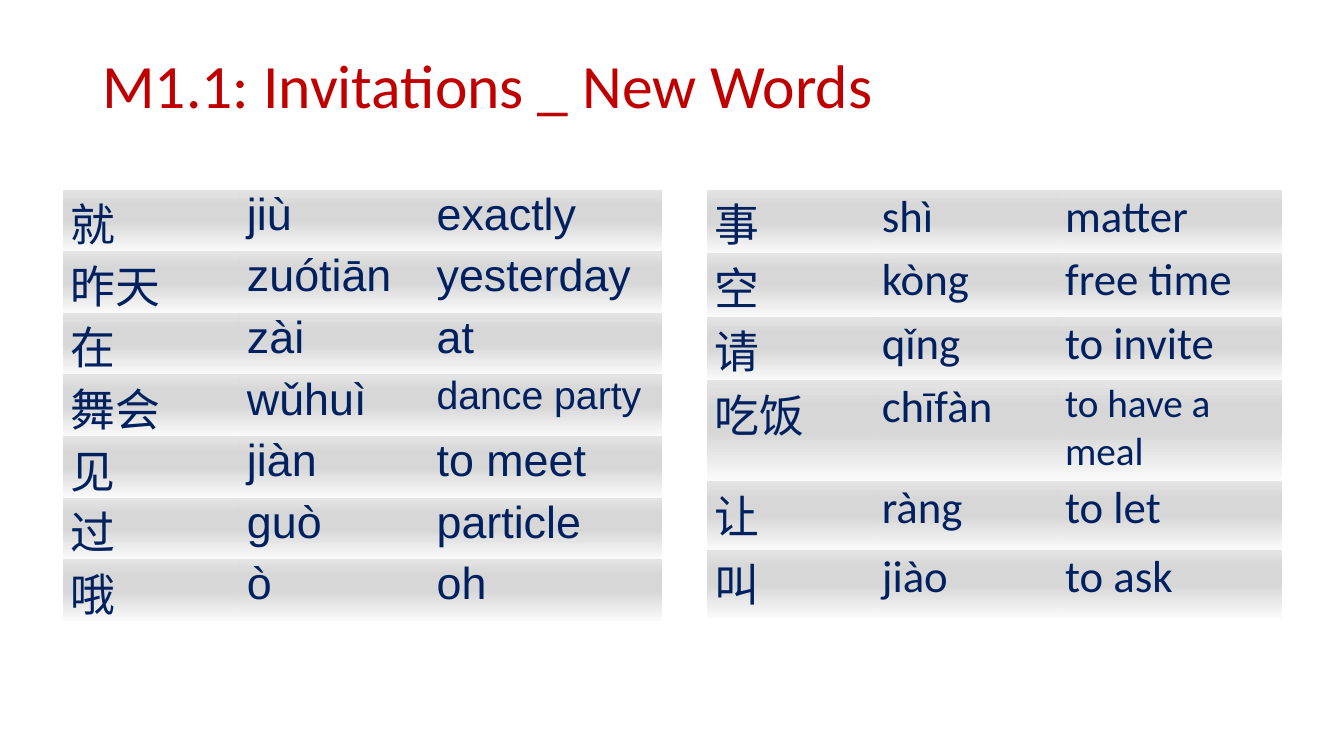
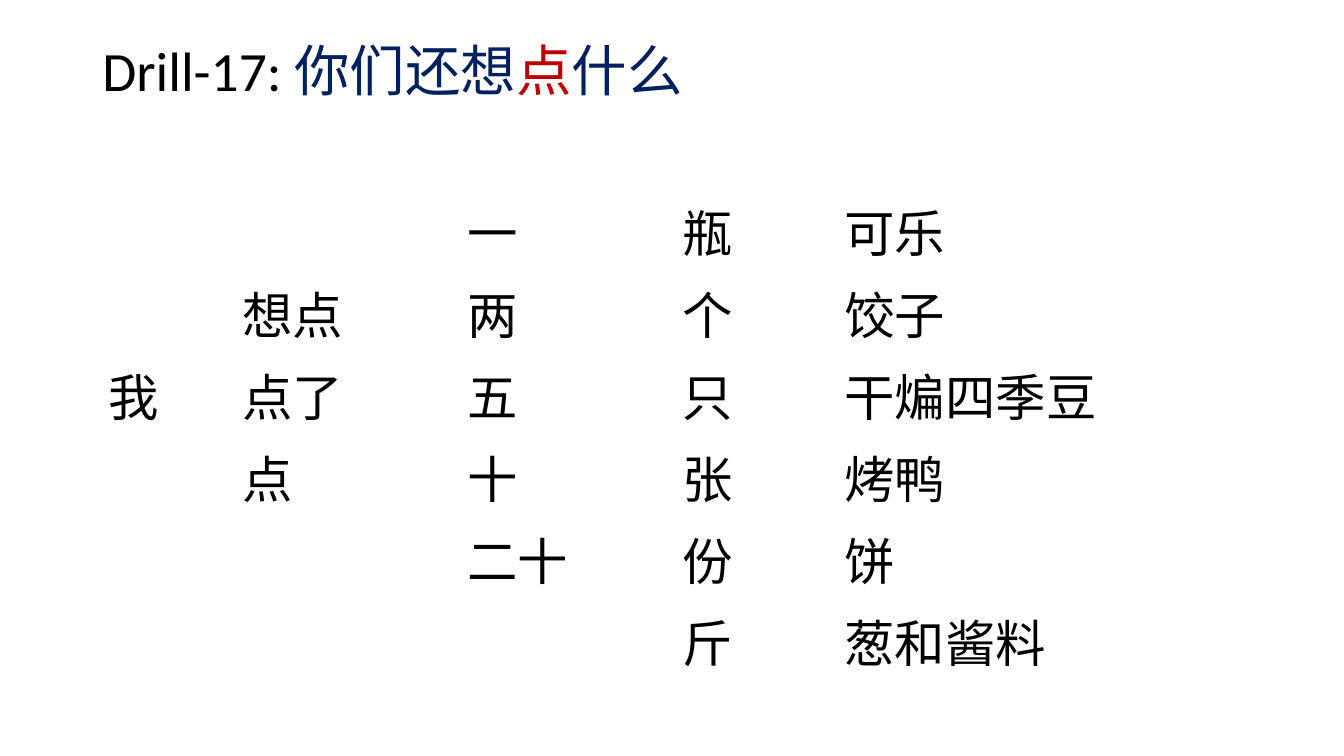
from pptx import Presentation
from pptx.dml.color import RGBColor
from pptx.enum import text
from pptx.oxml import parse_xml
from pptx.oxml.ns import qn, nsdecls
from pptx.util import Pt

RED = RGBColor(0xC0, 0x00, 0x00)
NAVY = RGBColor(0x00, 0x20, 0x60)
BLACK = RGBColor(0x00, 0x00, 0x00)
SHADES = [(0, "FAFAFA"), (49, "D7D7D7"), (74, "D7D7D7"), (100, "E4E4E4")]
PLAIN = "{2D5ABB26-0587-4C30-8999-92F81FD0307C}"  # no style, no grid

WORDS_A = [
    ("就", "jiù", "exactly"),
    ("昨天", "zuótiān", "yesterday"),
    ("在", "zài", "at"),
    ("舞会", "wǔhuì", "dance party"),
    ("见", "jiàn", "to meet"),
    ("过", "guò", "particle"),
    ("哦", "ò", "oh"),
]
WORDS_B = [
    ("事", "shì", "matter"),
    ("空", "kòng", "free time"),
    ("请", "qǐng", "to invite"),
    ("吃饭", "chīfàn", "to have a meal"),
    ("让", "ràng", "to let"),
    ("叫", "jiào", "to ask"),
]
SMALL = {"dance party", "to have a meal"}
DRILL = [
    ("", "", "", "", ""),
    ("", "", "一", "瓶", "可乐"),
    ("", "想点", "两", "个", "饺子"),
    ("我", "点了", "五", "只", "干煸四季豆"),
    ("", "点", "十", "张", "烤鸭"),
    ("", "", "二十", "份", "饼"),
    ("", "", "", "斤", "葱和酱料"),
]


def style(font, size, color, name="Calibri"):
    font.size, font.name = Pt(size), name
    font.color.rgb = color


def add_title(slide, parts, size, height):
    box = slide.shapes.add_textbox(Pt(66), Pt(28.8), Pt(828), Pt(height))
    frame = box.text_frame
    frame.word_wrap = True
    frame.vertical_anchor = text.MSO_ANCHOR.MIDDLE
    para = frame.paragraphs[0]
    para.line_spacing = 0.9
    for words, color in parts:
        run = para.add_run()
        run.text = words
        style(run.font, size, color)


def shade(cell):
    """Fill a cell with the grey gradient, running from bottom to top."""
    stops = "".join(
        f'<a:gs pos="{pos * 1000}"><a:srgbClr val="{rgb}"/></a:gs>'
        for pos, rgb in SHADES)
    cell._tc.get_or_add_tcPr().append(parse_xml(
        f'<a:gradFill {nsdecls("a")} rotWithShape="1"><a:gsLst>{stops}</a:gsLst>'
        '<a:lin ang="16200000" scaled="0"/></a:gradFill>'))


def add_grid(slide, rows, left, top, widths, heights):
    """Add a table without style; return it with its text in place."""
    table = slide.shapes.add_table(
        len(rows), len(widths), Pt(left), Pt(top),
        Pt(sum(widths)), Pt(sum(heights))).table
    table.first_row = table.horz_banding = False
    table._tbl.tblPr.find(qn("a:tableStyleId")).text = PLAIN
    for col, width in zip(table.columns, widths):
        col.width = Pt(width)
    for row, height, words in zip(table.rows, heights, rows):
        row.height = Pt(height)
        for cell, word in zip(row.cells, words):
            cell.text = word
    return table


def add_words(slide, rows, left, widths, heights, latin):
    table = add_grid(slide, rows, left, 135.5, widths, heights)
    for row in table.rows:
        for col, cell in enumerate(row.cells):
            cell.margin_left = cell.margin_right = Pt(5.4)
            cell.margin_top = cell.margin_bottom = 0
            size = 28 if cell.text in SMALL else 32
            for run in cell.text_frame.paragraphs[0].runs:
                style(run.font, size, NAVY, latin if col else "Calibri")
            shade(cell)


def add_drill(slide):
    table = add_grid(slide, DRILL, 70, 76.3, [96, 160.5, 153.5, 116, 209.5],
                     [58.6] * len(DRILL))
    for cell in table.iter_cells():
        for run in cell.text_frame.paragraphs[0].runs:
            style(run.font, 36, BLACK)


def main():
    prs = Presentation()
    prs.slide_width, prs.slide_height = Pt(960), Pt(540)
    blank = prs.slide_layouts[6]

    vocab = prs.slides.add_slide(blank)
    add_title(vocab, [("M1.1: Invitations _ New Words", RED)], 44, 68.4)
    add_words(vocab, WORDS_A, 45, [126, 135.5, 166], [44] * 7, "Arial")
    add_words(vocab, WORDS_B, 505, [119.5, 131, 160],
              [45.4] * 3 + [72] + [49] * 2, "Calibri")

    drill = prs.slides.add_slide(blank)
    add_title(drill, [("Drill-17: ", BLACK), ("你们还想", NAVY),
                      ("点", RED), ("什么", NAVY)], 39.6, 47.5)
    add_drill(drill)
    prs.save("out.pptx")


if __name__ == "__main__":
    main()
